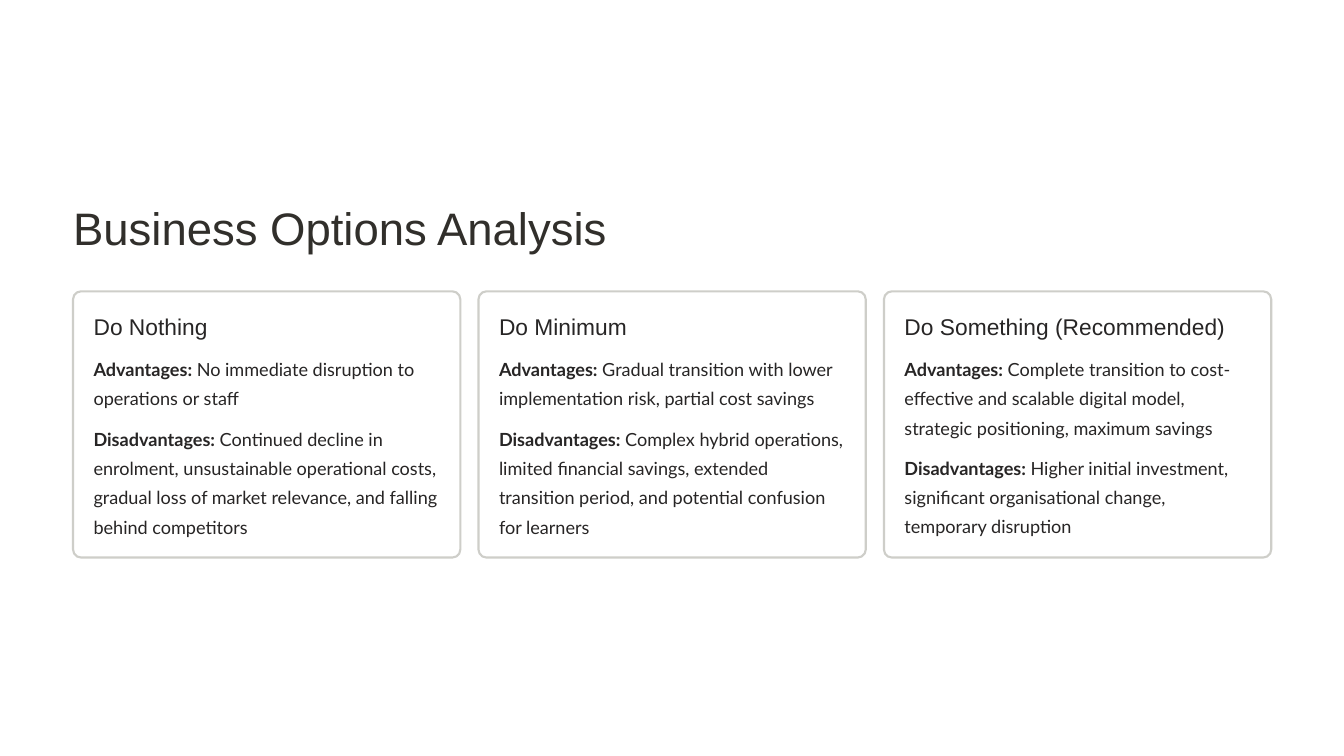
from dataclasses import dataclass

from pptx import Presentation
from pptx.dml.color import RGBColor
from pptx.enum.shapes import MSO_SHAPE as Preset
from pptx.enum.text import MSO_ANCHOR as Anchor, PP_ALIGN as Align
from pptx.slide import Slide
from pptx.util import Cm, Pt

COLORS = {"paper": "FFFFFF", "title": "312F2B", "text": "272525", "border": "CECEC9"}

# Card grid and its inner spacing, in centimetres
LEFT, TOP = 2.21, 8.81
CARD_WIDTH, CARD_HEIGHT, CARD_PITCH = 11.71, 8.05, 12.26
PADDING = 0.62
HEADING_HEIGHT, BODY_OFFSET = 0.86, 1.81
LINE_HEIGHT, POINT_GAP = 0.88, 0.35


@dataclass
class Point:
    label: str
    detail: str
    lines: int


@dataclass
class Option:
    heading: str
    points: list[Point]


OPTIONS = [
    Option("Do Nothing", [
        Point("Advantages:", "No immediate disruption to operations or staff", 2),
        Point("Disadvantages:", "Continued decline in enrolment, unsustainable operational costs, "
              "gradual loss of market relevance, and falling behind competitors", 4),
    ]),
    Option("Do Minimum", [
        Point("Advantages:", "Gradual transition with lower implementation risk, "
              "partial cost savings", 2),
        Point("Disadvantages:", "Complex hybrid operations, limited financial savings, extended "
              "transition period, and potential confusion for learners", 4),
    ]),
    Option("Do Something (Recommended)", [
        Point("Advantages:", "Complete transition to cost-effective and scalable digital model, "
              "strategic positioning, maximum savings", 3),
        Point("Disadvantages:", "Higher initial investment, significant organisational change, "
              "temporary disruption", 3),
    ]),
]


def rgb(name: str) -> RGBColor:
    return RGBColor.from_string(COLORS[name])


def add_text(slide: Slide, text: str, *, left: float, top: float, width: float, height: float,
             size: float, spacing: float, font: str = "Arial", color: str = "text",
             label: str = "", wrap: bool = False) -> None:
    """Write one paragraph, optionally opened by a bold label."""
    frame = slide.shapes.add_textbox(Cm(left), Cm(top), Cm(width), Cm(height)).text_frame
    frame.margin_left = frame.margin_right = frame.margin_top = frame.margin_bottom = 0
    frame.word_wrap = wrap
    frame.vertical_anchor = Anchor.TOP
    paragraph = frame.paragraphs[0]
    paragraph.alignment = Align.LEFT
    paragraph.line_spacing = Pt(spacing)
    pieces = [(label, True), (f" {text}", False)] if label else [(text, False)]
    for content, bold in pieces:
        run = paragraph.add_run()
        run.text = content
        run.font.name = font
        run.font.size = Pt(size)
        run.font.bold = bold
        run.font.color.rgb = rgb(color)


def add_option(slide: Slide, option: Option, left: float) -> None:
    """Draw a card with its heading and stacked points."""
    card = slide.shapes.add_shape(Preset.ROUNDED_RECTANGLE, Cm(left), Cm(TOP),
                                  Cm(CARD_WIDTH), Cm(CARD_HEIGHT))
    card.adjustments[0] = 0.03
    card.shadow.inherit = False
    card.fill.solid()
    card.fill.fore_color.rgb = rgb("paper")
    card.line.color.rgb = rgb("border")
    card.line.width = Pt(1.8)

    text_left, text_top = left + PADDING, TOP + PADDING
    text_width = CARD_WIDTH - 2 * PADDING
    add_text(slide, option.heading, left=text_left, top=text_top, width=text_width,
             height=HEADING_HEIGHT, size=19.5, spacing=24)

    point_top = TOP + BODY_OFFSET
    for point in option.points:
        height = point.lines * LINE_HEIGHT
        add_text(slide, point.detail, label=point.label, left=text_left, top=point_top,
                 width=text_width, height=height, size=15.5, spacing=25, font="Lato", wrap=True)
        point_top += height + POINT_GAP


def main() -> None:
    deck = Presentation()
    deck.slide_width, deck.slide_height = Cm(40.64), Cm(22.86)
    slide = deck.slides.add_slide(deck.slide_layouts[6])
    slide.background.fill.solid()
    slide.background.fill.fore_color.rgb = rgb("paper")

    # Title, in a box wide enough for a single line
    add_text(slide, "Business Options Analysis", left=LEFT, top=5.99, width=17, height=1.73,
             size=39, spacing=48.5, color="title")

    # Option cards
    for column, option in enumerate(OPTIONS):
        add_option(slide, option, LEFT + column * CARD_PITCH)

    deck.save("out.pptx")


if __name__ == "__main__":
    main()
